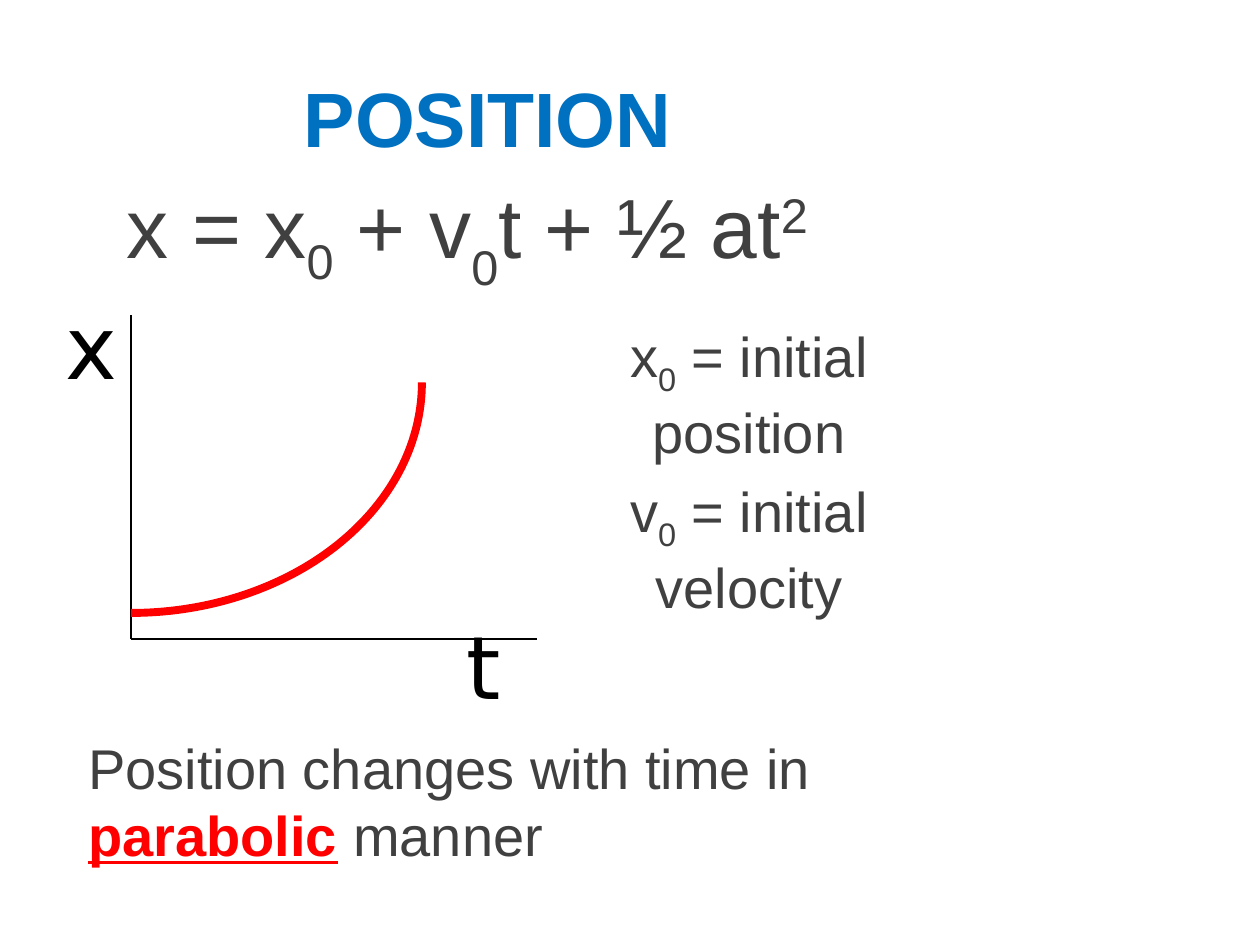
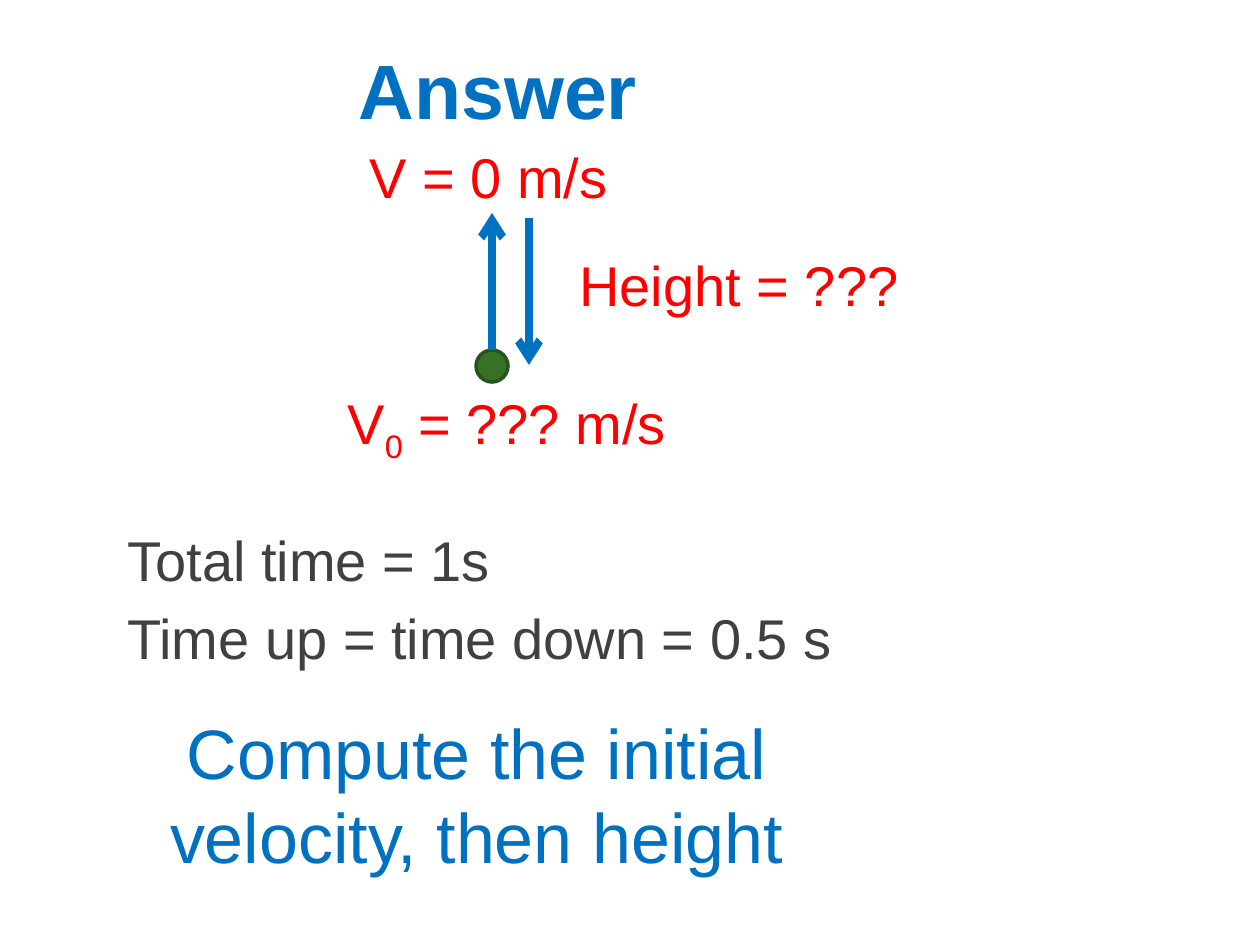
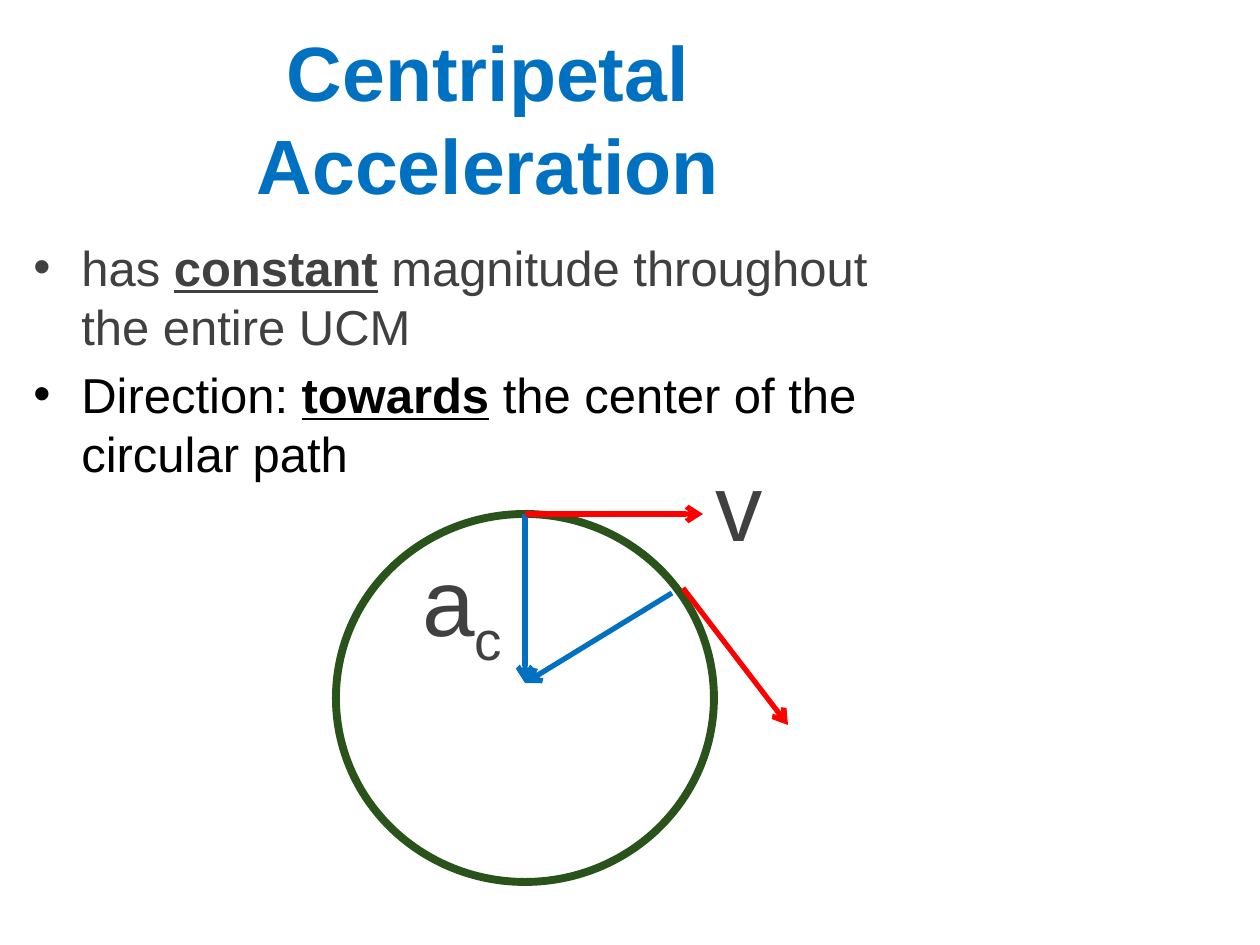
from lxml.etree import SubElement
from pptx import Presentation
from pptx.dml.color import RGBColor
from pptx.enum.shapes import MSO_CONNECTOR, MSO_SHAPE
from pptx.enum.text import MSO_ANCHOR, PP_ALIGN
from pptx.oxml.ns import qn
from pptx.util import Emu, Inches, Pt

PX_PER_INCH = 126
COLORS = {
    "blue": "0070C0",
    "gray": "404040",
    "red": "FF0000",
    "black": "000000",
    "green": "387025",
    "dark_green": "29531B",
}
TITLE = {"size": 44, "color": "blue", "bold": True, "align": PP_ALIGN.CENTER,
         "before": 0, "anchor": MSO_ANCHOR.MIDDLE}
AXIS_LABEL = {"size": 50, "font": "DejaVu Sans", "color": "black", "before": 11.2}
SUB = {"baseline": -25}
LOW_SUB = {"baseline": -33}
SUP = {"baseline": 30}
KEY = {"bold": True, "underline": True}


def px(n):
    return Emu(round(n * Inches(1) / PX_PER_INCH))


def rgb(name):
    return RGBColor.from_string(COLORS[name])


def add_run(p, text, size, font, color, baseline=0, **flags):
    r = p.add_run()
    r.text = text
    values = {"size": Pt(size), "name": font, **flags}
    for name, value in values.items():
        setattr(r.font, name, value)
    r.font.color.rgb = rgb(color)
    if baseline:
        r._r.get_or_add_rPr().set("baseline", str(baseline * 1000))


def add_bullet(p, indent):
    pPr = p._p.get_or_add_pPr()
    pPr.set("marL", str(px(indent)))
    pPr.set("indent", str(-px(indent)))
    SubElement(pPr, qn("a:buFont")).set("typeface", "Arial")
    SubElement(pPr, qn("a:buChar")).set("char", "•")


def add_text(s, box, paragraphs, size=32, color="gray", font="Arial", bold=False,
             align=PP_ALIGN.LEFT, before=None, anchor=MSO_ANCHOR.TOP, bullet=0):
    """Each paragraph is a list of (text, format) runs; a bare string is a plain run."""
    tf = s.shapes.add_textbox(*map(px, box)).text_frame
    tf.word_wrap = True
    tf.vertical_anchor = anchor
    for i, runs in enumerate(paragraphs):
        p = tf.add_paragraph() if i else tf.paragraphs[0]
        p.alignment = align
        p.space_before = Pt(size * 0.2 if before is None else before)
        if bullet:
            add_bullet(p, bullet)
        for run in runs:
            text, fmt = (run, {}) if isinstance(run, str) else run
            add_run(p, text, **{"size": size, "font": font, "color": color,
                                "bold": bold, **fmt})


def add_title(s, text, left=63, top=38):
    add_text(s, (left, top, 850, 158), [[text]], **TITLE)


def set_line(sp, color, width):
    sp.line.color.rgb = rgb(color)
    sp.line.width = Pt(width)


def add_line(s, start, end, color="black", width=0.75, arrow=False):
    sp = s.shapes.add_connector(MSO_CONNECTOR.STRAIGHT, *map(px, start + end))
    set_line(sp, color, width)
    if arrow:
        SubElement(sp.line._get_or_add_ln(), qn("a:tailEnd")).set("type", "arrow")
    SubElement(sp._element.spPr, qn("a:effectLst"))


def add_outline(s, kind, box, color, width, fill=None):
    sp = s.shapes.add_shape(kind, *map(px, box))
    sp.shadow.inherit = False
    if fill:
        sp.fill.solid()
        sp.fill.fore_color.rgb = rgb(fill)
    else:
        sp.fill.background()
    set_line(sp, color, width)
    return sp


def build_position(s):
    add_title(s, "POSITION")
    add_text(s, (53, 168, 829, 105),
             [["x = x", ("0", SUB), " + v", ("0", LOW_SUB), "t + ½ at", ("2", SUP)]],
             size=48, align=PP_ALIGN.CENTER)
    add_text(s, (76, 727, 829, 168),
             [["Position changes with time in ",
               ("parabolic", {**KEY, "color": "red"}), " manner"]])
    origin = (131, 639)
    add_line(s, (131, 315), origin)
    add_line(s, origin, (537, 639))
    for label, left, top in (("x", 53, 286), ("t", 454, 606)):
        add_text(s, (left, top, 73, 118), [[label]], **AXIS_LABEL)
    curve = add_outline(s, MSO_SHAPE.ARC, (-160, 152, 582, 461), "red", 4.5)
    curve._element.spPr.xfrm.set("flipV", "1")
    add_text(s, (528, 315, 442, 330),
             [[symbol, ("0", SUB), f" = initial {meaning}"]
              for symbol, meaning in (("x", "position"), ("v", "velocity"))],
             align=PP_ALIGN.CENTER)


def build_answer(s):
    add_title(s, "Answer", 73, 10)
    add_text(s, (115, 519, 788, 184),
             [["Total time = 1s"], ["Time up = time down = 0.5 s"]])
    add_outline(s, MSO_SHAPE.OVAL, (476, 350, 32, 32), "dark_green", 2, fill="green")
    for start, end in (((492, 350), (492, 213)), ((529, 218), (529, 365))):
        add_line(s, start, end, "blue", 4.5, arrow=True)
    for left, top, runs in ((357, 136, ["V = 0 m/s"]),
                            (335, 382, ["V", ("0", SUB), " = ??? m/s"]),
                            (567, 244, ["Height = ???"])):
        add_text(s, (left, top, 346, 76), [runs], color="red")
    add_text(s, (62, 703, 829, 199), [["Compute the initial velocity, then height"]],
             size=40, color="blue", align=PP_ALIGN.CENTER)


def build_centripetal(s):
    add_title(s, "Centripetal Acceleration")
    black = {"color": "black"}
    add_text(s, (21, 231, 893, 305),
             [["has ", ("constant", KEY), " magnitude throughout the entire UCM"],
              [("Direction: ", black), ("towards", {**KEY, **black}),
               (" the center of the circular path", black)]],
             size=28, bullet=48)
    add_outline(s, MSO_SHAPE.OVAL, (336, 514, 378, 368), "dark_green", 4.5)
    top, center = (525, 514), (525, 683)
    for start, end, color in ((top, center, "blue"),
                              (top, (703, 514), "red"),
                              ((672, 593), center, "blue"),
                              ((683, 588), (788, 725), "red")):
        add_line(s, start, end, color, 3, arrow=True)
    add_text(s, (410, 536, 168, 116), [["a", ("c", SUB)]], size=54)
    add_text(s, (703, 441, 84, 116), [["v"]], size=54)


def main():
    prs = Presentation()
    prs.slide_width, prs.slide_height = px(1260), px(945)
    for build in (build_position, build_answer, build_centripetal):
        build(prs.slides.add_slide(prs.slide_layouts[6]))
    prs.save("out.pptx")


if __name__ == "__main__":
    main()
